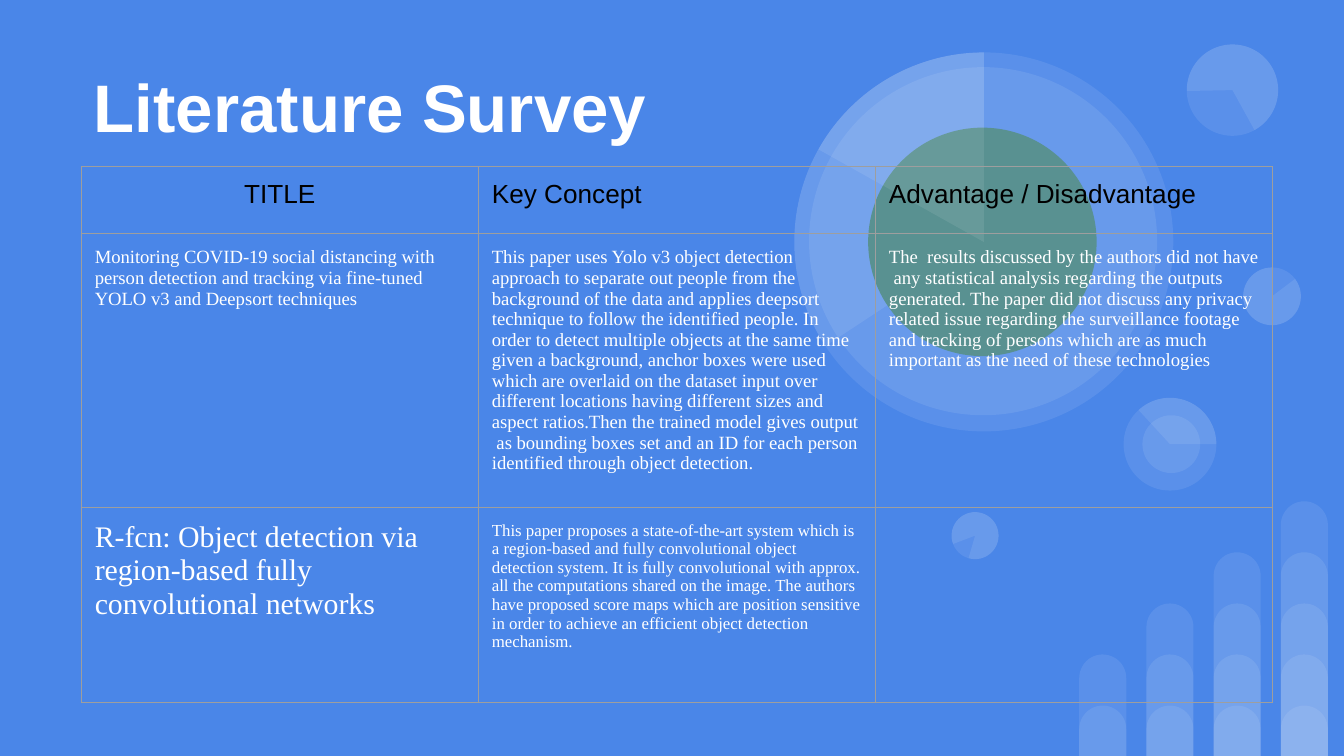
from lxml.etree import SubElement
from dataclasses import dataclass
from pptx import Presentation
from pptx.dml.color import RGBColor
from pptx.enum.shapes import MSO_SHAPE
from pptx.enum.text import MSO_ANCHOR, PP_ALIGN
from pptx.oxml import parse_xml
from pptx.oxml.ns import nsdecls, qn
from pptx.util import Inches, Pt


@dataclass(frozen=True)
class Theme:
    """Colours, fonts and type sizes of the slide."""

    background: str = "4A86E8"
    light: str = "FFFFFF"
    dark: str = "000000"
    core: str = "599191"
    border: str = "9E9E9E"
    veil: int = 9
    sans: str = "Arial"
    serif: str = "Times New Roman"
    title: int = 36
    header: int = 14
    large: int = 16
    body: int = 10
    small: int = 9


THEME = Theme()
SLIDE_WIDTH = Inches(10)
SLIDE_HEIGHT = Inches(5.625)
SLIDE_BOTTOM = 56.25
INSET = 1

BAR_LEFT, BAR_PITCH, BAR_WIDTH = 80.3, 5, 3.5
BAR_BASE, BAR_STEP = 3.75, 3.8
BAR_COUNTS = (2, 3, 4, 5)

DISCS = (
    (92.5, 19.9, 4.3, 0, (322.95,)),
    (70.8, 38.1, 3.5, 196.2, (322.95,)),
    (83.6, 29.6, 6.9, 90, (137.41,)),
    (85, 30.9, 4.3, 90, ()),
    (88.3, 3.3, 6.8, 215.9, (322.95,)),
    (59.1, 3.9, 28.2, 0, (146.69,)),
    (60.2, 5, 25.9, 34.1, ()),
)
SLICE_ENDS = {(88.3, 3.3): 205.23}

HEADERS = ("TITLE", "Key Concept", "Advantage / Disadvantage")
MONITORING = (
    "Monitoring COVID-19 social distancing with person detection and tracking "
    "via fine-tuned YOLO v3 and Deepsort techniques",
    "This paper uses Yolo v3 object detection approach to separate out people "
    "from the background of the data and applies deepsort technique to follow "
    "the identified people. In order to detect multiple objects at the same time "
    "given a background, anchor boxes were used which are overlaid on the dataset "
    "input over different locations having different sizes and aspect ratios.Then "
    "the trained model gives output  as bounding boxes set and an ID for each "
    "person identified through object detection.",
    "The  results discussed by the authors did not have  any statistical analysis "
    "regarding the outputs generated. The paper did not discuss any privacy related "
    "issue regarding the surveillance footage and tracking of persons which are as "
    "much important as the need of these technologies",
)
REGION_BASED = (
    "R-fcn: Object detection via region-based fully convolutional networks",
    "This paper proposes a state-of-the-art system which is a region-based and "
    "fully convolutional object detection system. It is fully convolutional with "
    "approx. all the computations shared on the image. The authors have proposed "
    "score maps which are position sensitive in order to achieve an efficient "
    "object detection mechanism.",
    "",
)
ROW_SIZES = (
    (THEME.header,) * 3,
    (THEME.body,) * 3,
    (THEME.large, THEME.small, THEME.small),
)
COLUMN_WIDTH = 29.55
ROW_HEIGHTS = (5, 18.85, 14.5)


def share(percent):
    """Convert a percentage of the slide's width to a length."""
    return int(SLIDE_WIDTH * percent / 100)


def box(left, top, width, height):
    """Convert a box in shares of the slide's width to lengths."""
    return tuple(share(value) for value in (left, top, width, height))


def write(frame, text, *, size, font=THEME.sans, color=THEME.light,
          bold=False, align=PP_ALIGN.LEFT):
    """Write one formatted paragraph into a text frame."""
    frame.word_wrap = True
    paragraph = frame.paragraphs[0]
    paragraph.alignment = align
    paragraph.font.size = Pt(size)
    if not text:
        return
    run = paragraph.add_run()
    run.text = text
    run.font.size = Pt(size)
    run.font.name = font
    run.font.bold = bold
    run.font.color.rgb = RGBColor.from_string(color)


def set_insets(target):
    """Give a text frame or a cell equal margins."""
    for side in ("left", "top", "right", "bottom"):
        setattr(target, f"margin_{side}", share(INSET))


def add_plain_shape(group, kind, bounds, *, color=THEME.light, alpha=THEME.veil,
                    rotation=0, adjustments=()):
    """Add an unlined shape with a solid or translucent fill."""
    shape = group.shapes.add_shape(kind, *box(*bounds))
    shape.shadow.inherit = False
    shape.line.fill.background()
    shape.fill.solid()
    shape.fill.fore_color.rgb = RGBColor.from_string(color)
    shape.rotation = rotation
    for index, value in enumerate(adjustments):
        shape.adjustments[index] = value
    if alpha < 100:
        fill_color = shape.fill._xPr.find(qn("a:solidFill"))[0]
        SubElement(fill_color, qn("a:alpha")).set("val", str(alpha * 1000))


def add_slice(group, bounds, start, end=270, rotation=0):
    """Add a translucent pie slice between two angles in degrees."""
    angles = [degrees * 0.6 for degrees in (start, end)]
    add_plain_shape(group, MSO_SHAPE.PIE, bounds, rotation=rotation, adjustments=angles)


def add_bars(slide):
    """Add the columns of overlapping rounded bars."""
    group = slide.shapes.add_group_shape()
    for column, count in enumerate(BAR_COUNTS):
        left = BAR_LEFT + column * BAR_PITCH
        for step in range(count):
            height = BAR_BASE + step * BAR_STEP
            add_plain_shape(group, MSO_SHAPE.ROUND_2_SAME_RECTANGLE,
                            (left, SLIDE_BOTTOM - height, BAR_WIDTH, height),
                            adjustments=(0.5, 0))


def add_discs(slide):
    """Add the translucent discs with their slices and the solid core."""
    group = slide.shapes.add_group_shape()
    for left, top, size, rotation, starts in DISCS:
        bounds = (left, top, size, size)
        add_plain_shape(group, MSO_SHAPE.OVAL, bounds, rotation=rotation)
        for start in starts:
            add_slice(group, bounds, start, SLICE_ENDS.get((left, top), 270), rotation)
    add_plain_shape(group, MSO_SHAPE.OVAL, (64.6, 9.5, 17, 17), color=THEME.core, alpha=100)
    add_slice(group, (59.1, 3.9, 28.2, 28.2), 209.24)


def add_title(slide):
    """Add the slide's heading."""
    frame = slide.shapes.add_textbox(*box(6, 3.3, 88.7, 9.1)).text_frame
    set_insets(frame)
    frame.vertical_anchor = MSO_ANCHOR.MIDDLE
    write(frame, "Literature Survey", size=THEME.title, bold=True)


def style_cell(cell):
    """Clear a cell's fill and outline its four sides."""
    set_insets(cell)
    cell.fill.background()
    properties = cell._tc.get_or_add_tcPr()
    for index, side in enumerate("LRTB"):
        properties.insert(index, parse_xml(
            f'<a:ln{side} {nsdecls("a")} w="{Pt(0.75)}"><a:solidFill>'
            f'<a:srgbClr val="{THEME.border}"/></a:solidFill></a:ln{side}>'))


def add_survey_table(slide):
    """Add the table of surveyed papers."""
    rows = (HEADERS, MONITORING, REGION_BASED)
    bounds = box(6.05, 12.4, COLUMN_WIDTH * len(HEADERS), sum(ROW_HEIGHTS))
    table = slide.shapes.add_table(len(rows), len(HEADERS), *bounds).table
    table.first_row = table.horz_banding = False
    for column in table.columns:
        column.width = share(COLUMN_WIDTH)
    for row_index, (texts, sizes) in enumerate(zip(rows, ROW_SIZES)):
        table.rows[row_index].height = share(ROW_HEIGHTS[row_index])
        is_header = row_index == 0
        for column_index, (text, size) in enumerate(zip(texts, sizes)):
            cell = table.cell(row_index, column_index)
            style_cell(cell)
            centred = is_header and column_index == 0
            write(cell.text_frame, text, size=size,
                  font=THEME.sans if is_header else THEME.serif,
                  color=THEME.dark if is_header else THEME.light,
                  align=PP_ALIGN.CENTER if centred else PP_ALIGN.LEFT)


def main():
    """Build and save the presentation."""
    presentation = Presentation()
    presentation.slide_width, presentation.slide_height = SLIDE_WIDTH, SLIDE_HEIGHT
    slide = presentation.slides.add_slide(presentation.slide_layouts[6])
    slide.background.fill.solid()
    slide.background.fill.fore_color.rgb = RGBColor.from_string(THEME.background)
    add_bars(slide)
    add_discs(slide)
    add_title(slide)
    add_survey_table(slide)
    presentation.save("out.pptx")


if __name__ == "__main__":
    main()
